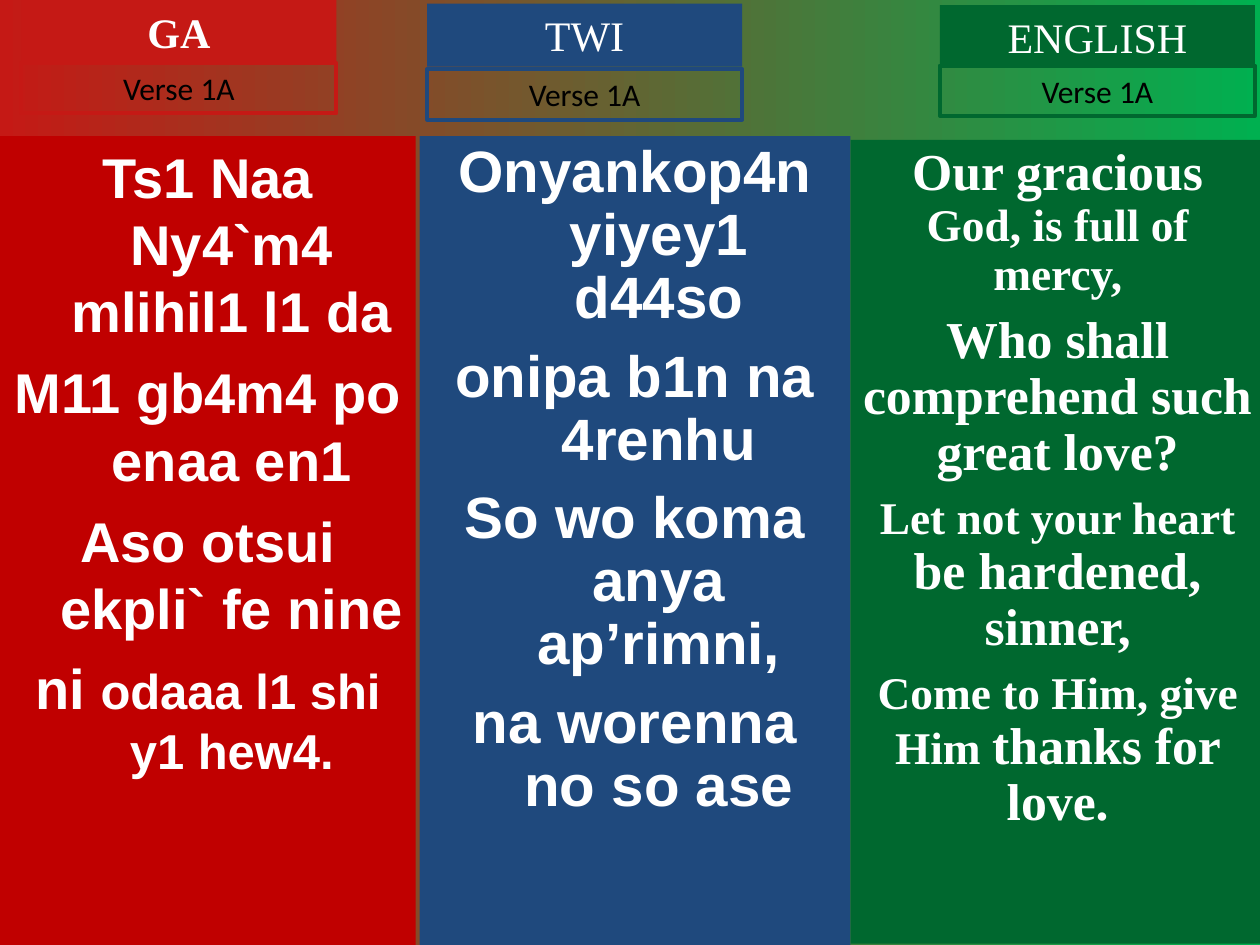
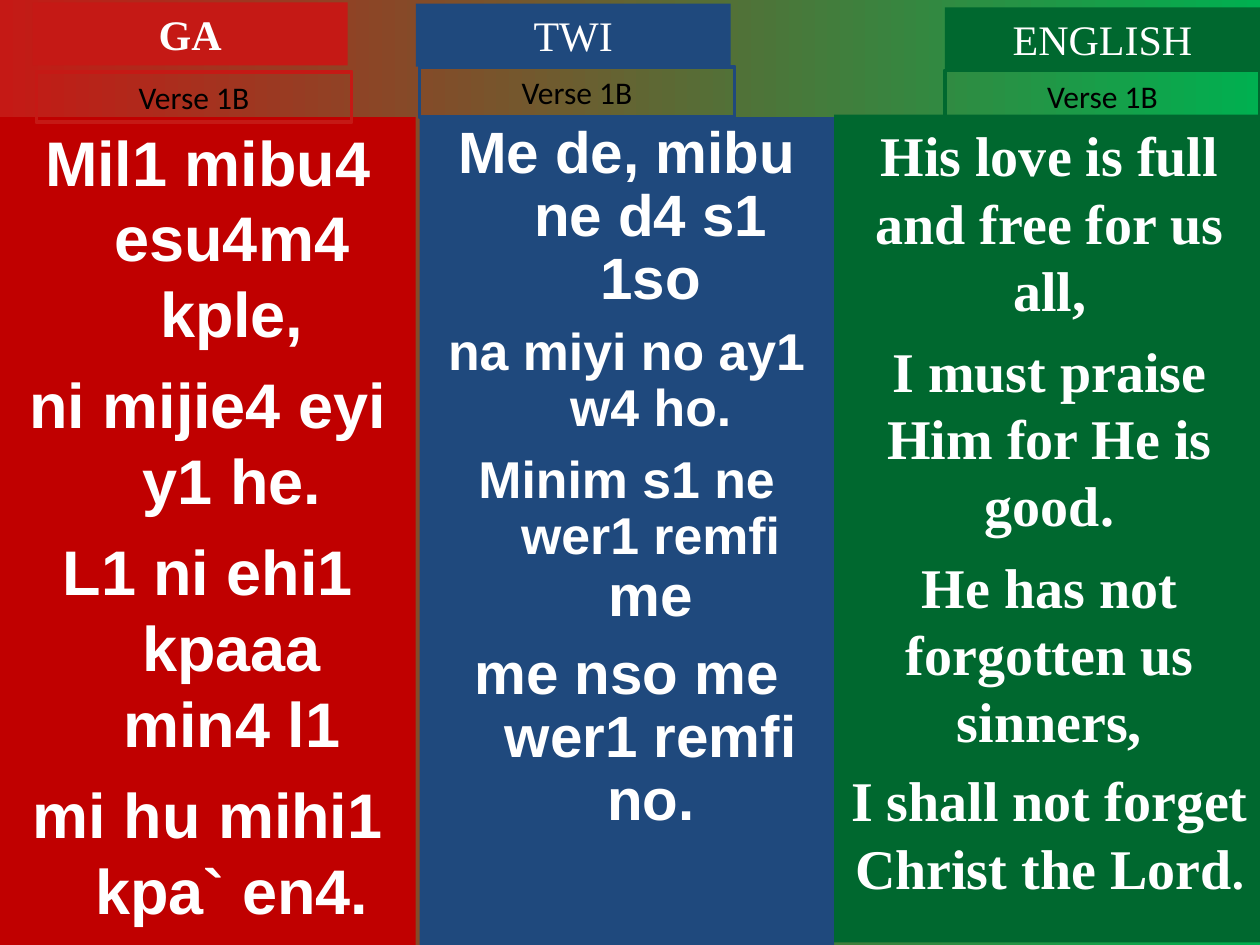
"""Build two hymn slides with the verse in Ga, Twi and English side by side."""
from pptx import Presentation
from pptx.dml.color import RGBColor
from pptx.enum.shapes import MSO_SHAPE
from pptx.enum.text import MSO_ANCHOR, MSO_AUTO_SIZE, PP_ALIGN
from pptx.util import Inches, Pt

RECTANGLE = MSO_SHAPE.RECTANGLE
CENTER = PP_ALIGN.CENTER
TOP = MSO_ANCHOR.TOP
FIT_SHAPE = MSO_AUTO_SIZE.SHAPE_TO_FIT_TEXT
WHITE, BLACK = "FFFFFF", "000000"
SERIF = "Times New Roman"
HANGING = Inches(0.38)

LANGUAGES = [
    {"name": "GA", "bold": True, "body": "C00000", "header": "C51915", "font": "Arial", "hanging": True},
    {"name": "TWI", "bold": False, "body": "1F497D", "header": "1F497D", "font": "Arial", "hanging": True},
    {"name": "ENGLISH", "bold": False, "body": "00682F", "header": "00682F", "font": SERIF, "hanging": False},
]

VERSES = [
    ("Verse 1A", [
        {"body": (0, 1.08, 3.3, 6.42), "title": (0.17, 0), "label": (0.17, 0.5), "spacing": None, "lines": [
            (0, [("Ts1 Naa Ny4`m4 mlihil1 l1 da", 32)]),
            (8, [("M11 gb4m4 po enaa en1", 32)]),
            (8, [("Aso otsui ekpli` fe nine", 32)]),
            (7, [("ni ", 32), ("odaaa l1 shi y1 hew4.", 28)])]},
        {"body": (3.33, 1.08, 3.42, 6.42), "title": (3.39, 0.03), "label": (3.39, 0.55), "spacing": 0.9, "lines": [
            (0, [("Onyankop4n yiyey1 d44so", 33.3)]),
            (9, [("onipa b1n na 4renhu", 33.3)]),
            (9, [("So wo koma anya ap’rimni,", 33.3)]),
            (9, [("na worenna no so ase", 33.3)])]},
        {"body": (6.75, 1.11, 3.29, 6.38), "title": (7.46, 0.04), "label": (7.46, 0.52), "spacing": 0.9, "lines": [
            (0, [("Our gracious ", 29.6), ("God, is full of mercy,", 25.9)]),
            (8, [("Who shall comprehend such great love?", 29.6)]),
            (8, [("Let not your heart ", 25.9), ("be hardened, sinner,", 29.6)]),
            (8, [("Come to Him, give Him ", 25.9), ("thanks for love.", 29.6)])]},
    ]),
    ("Verse 1B", [
        {"body": (0, 0.93, 3.3, 6.57), "title": (0.26, 0.02), "label": (0.29, 0.57), "spacing": None, "lines": [
            (0, [("Mil1 mibu4 esu4m4 kple,", 36)]),
            (9, [("ni mijie4 eyi y1 he.", 36)]),
            (9, [("L1 ni ehi1 kpaaa min4 l1", 36)]),
            (9, [("mi hu mihi1 kpa` en4.", 36)])]},
        {"body": (3.33, 0.93, 3.29, 6.57), "title": (3.3, 0.03), "label": (3.33, 0.53), "spacing": 0.9, "lines": [
            (0, [("Me de, mibu ne d4 s1 1so", 33.3)]),
            (8, [("na miyi no ay1 w4 ho.", 29.6)]),
            (9, [("Minim s1 ne wer1 remfi ", 29.6), ("me", 33.3)]),
            (9, [("me nso me wer1 remfi no.", 33.3)])]},
        {"body": (6.62, 0.91, 3.42, 6.57), "title": (7.5, 0.06), "label": (7.5, 0.56), "spacing": None, "lines": [
            (0, [("His love is full and free for us all,", 32)]),
            (8, [("I must praise Him for He is good.", 32)]),
            (8, [("He has not forgotten us sinners,", 32)]),
            (7, [("I shall not forget Christ the Lord", 32), (".", 28)])]},
    ]),
]


def color(hex_string):
    return RGBColor.from_string(hex_string)


def add_box(slide, place, lines, font, text_color, bold, fill=None, line=None, hanging=False, spacing=None):
    shape = slide.shapes.add_shape(RECTANGLE, *[Inches(value) for value in place])
    shape.shadow.inherit = False
    if fill:
        shape.fill.solid()
        shape.fill.fore_color.rgb = color(fill)
    else:
        shape.fill.background()
    if line:
        shape.line.color.rgb = color(line)
        shape.line.width = Pt(2.25)
    else:
        shape.line.fill.background()
    frame = shape.text_frame
    frame.word_wrap = True
    frame.vertical_anchor = TOP
    for index, (space_before, runs) in enumerate(lines):
        paragraph = frame.add_paragraph() if index else frame.paragraphs[0]
        paragraph.alignment = CENTER
        paragraph.space_before = Pt(space_before)
        if spacing:
            paragraph.line_spacing = spacing
        if hanging:
            properties = paragraph._p.get_or_add_pPr()
            properties.set("marL", str(HANGING))
            properties.set("indent", str(-HANGING))
        paragraph.font.name = font
        paragraph.font.bold = bold
        paragraph.font.color.rgb = color(text_color)
        if len(runs) == 1:
            paragraph.font.size = Pt(runs[0][1])
        for text, size in runs:
            run = paragraph.add_run()
            run.text = text
            if len(runs) > 1:
                run.font.size = Pt(size)
    return shape


presentation = Presentation()
presentation.slide_width = Inches(10)
presentation.slide_height = Inches(7.5)

for verse, columns in VERSES:
    slide = presentation.slides.add_slide(presentation.slide_layouts[6])
    background = slide.background.fill
    background.gradient()
    background.gradient_angle = 0
    for stop, stop_color in zip(background.gradient_stops, ("C51915", "00B050")):
        stop.color.rgb = color(stop_color)

    for language, column in zip(LANGUAGES, columns):
        add_box(slide, column["body"], column["lines"], language["font"], WHITE, True,
                fill=language["body"], hanging=language["hanging"], spacing=column["spacing"])
        title = add_box(slide, (*column["title"], 2.5, 0.5), [(0, [(language["name"], 24)])],
                        SERIF, WHITE, language["bold"], fill=language["header"])
        label = add_box(slide, (*column["label"], 2.5, 0.4), [(0, [(verse, 18)])],
                        "Calibri", BLACK, False, line=language["header"])
        for header in (title, label):
            header.text_frame.auto_size = FIT_SHAPE

presentation.save("out.pptx")
